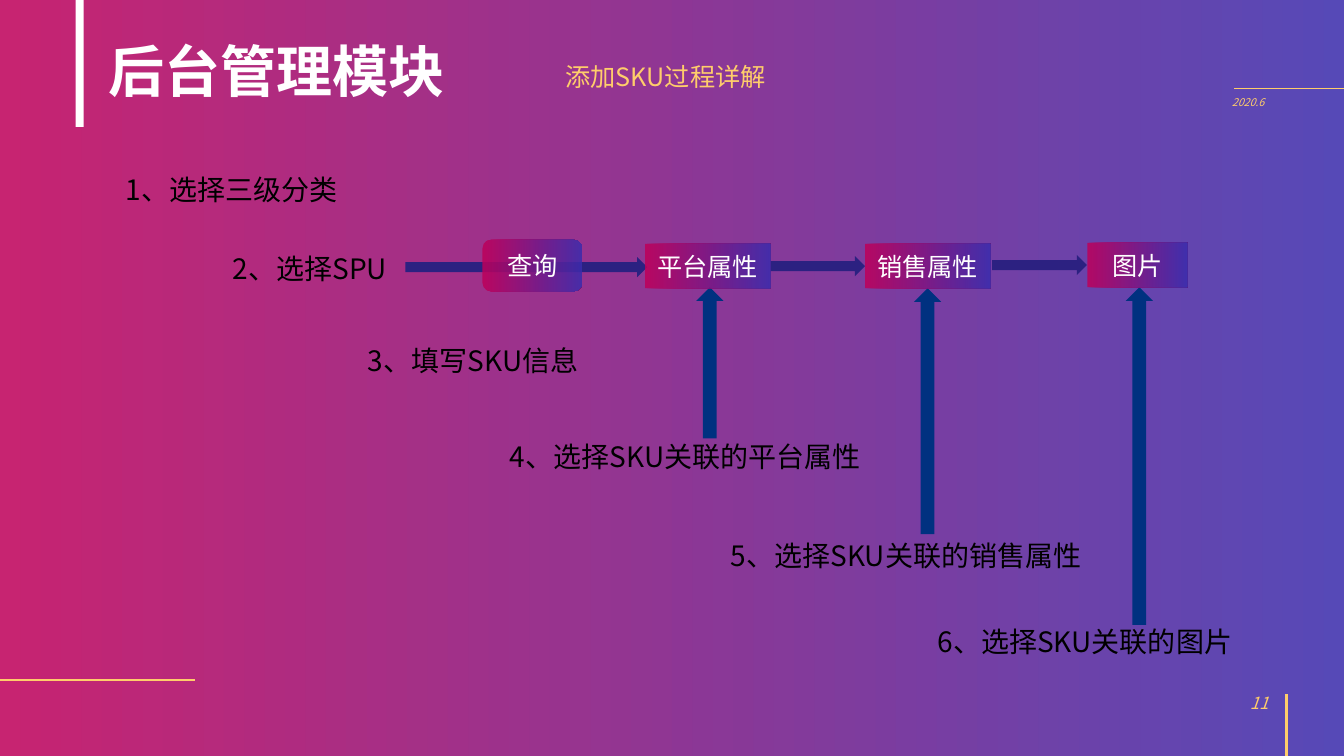
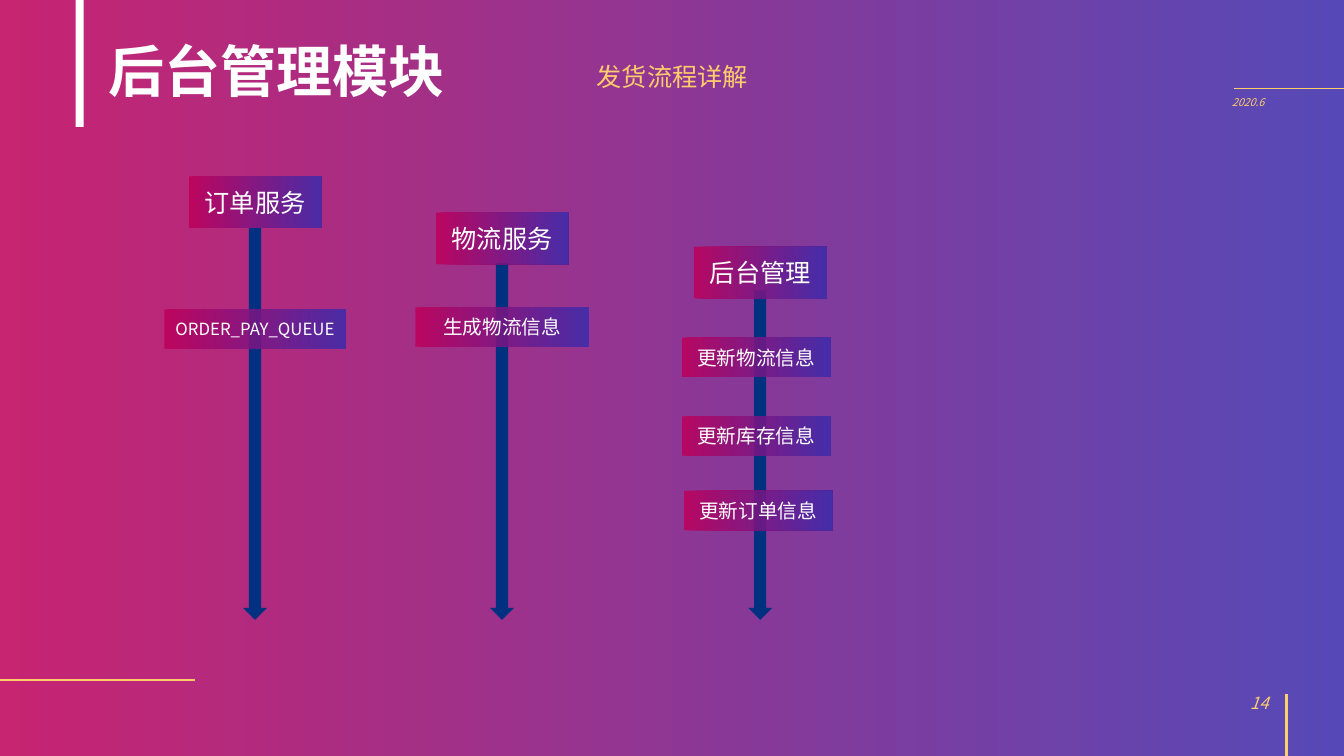
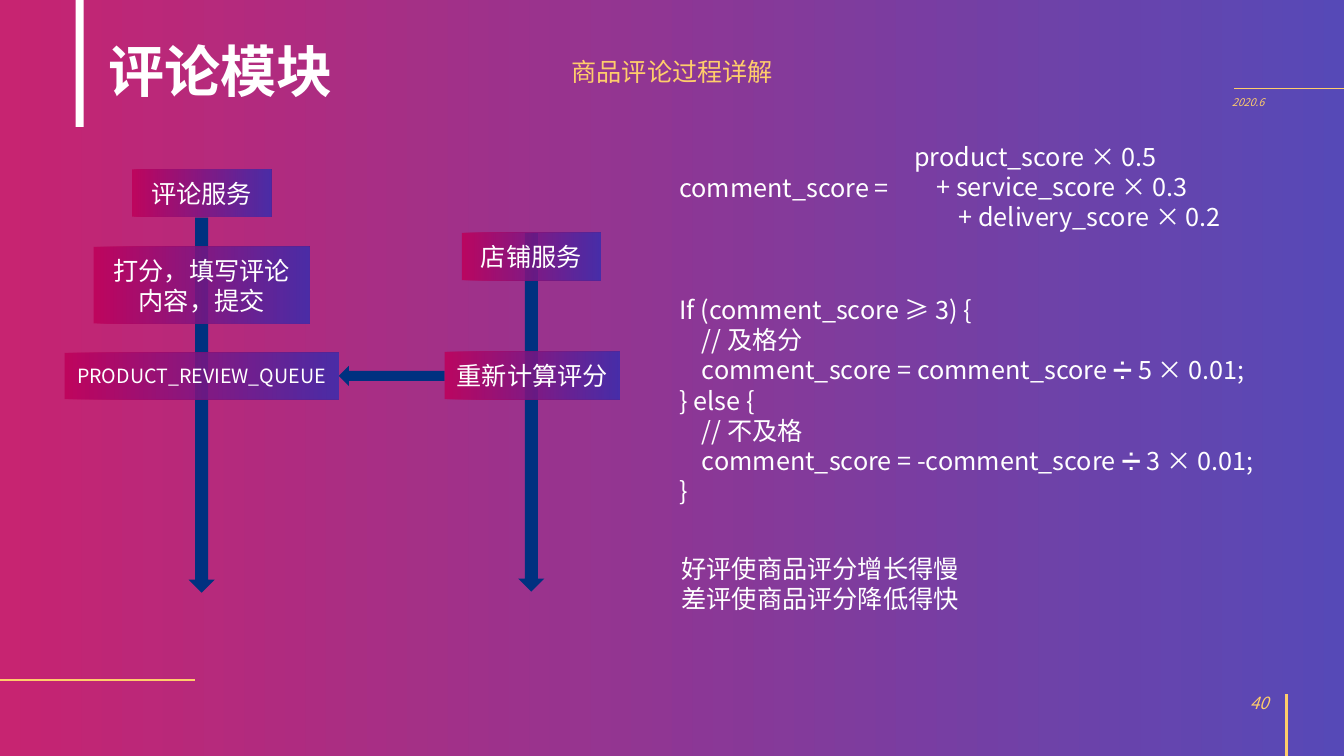
from lxml import etree
from pptx import Presentation
from pptx.dml.color import RGBColor
from pptx.enum.shapes import MSO_CONNECTOR, MSO_SHAPE
from pptx.enum.text import MSO_ANCHOR, PP_ALIGN
from pptx.oxml.ns import qn
from pptx.util import Inches, Pt

WIDE, HIGH = 13.33, 7.5
NOTO, ARIAL = "Noto Sans CJK SC", "Arial"
ROSE = RGBColor(0xBE, 0x00, 0x5A)
INDIGO = RGBColor(0x3B, 0x2C, 0xAC)
GOLD = RGBColor(0xFF, 0xCD, 0x6B)
WHITE = RGBColor(0xFF, 0xFF, 0xFF)
BLACK = RGBColor(0x00, 0x00, 0x00)
NAVY = RGBColor(0x00, 0x31, 0x80)
VIOLET = RGBColor(0x2C, 0x21, 0x81)
RECT, ROUND = MSO_SHAPE.RECTANGLE, MSO_SHAPE.ROUNDED_RECTANGLE
LEFT, RIGHT = MSO_SHAPE.LEFT_ARROW, MSO_SHAPE.RIGHT_ARROW
UP, DOWN = MSO_SHAPE.UP_ARROW, MSO_SHAPE.DOWN_ARROW
STRAIGHT = MSO_CONNECTOR.STRAIGHT
TOP, MIDDLE, BOTTOM = MSO_ANCHOR.TOP, MSO_ANCHOR.MIDDLE, MSO_ANCHOR.BOTTOM
START, CENTER, END = PP_ALIGN.LEFT, PP_ALIGN.CENTER, PP_ALIGN.RIGHT

HEAD = {"size": Pt(40), "bold": True, "name": NOTO}
TOPIC = {"size": Pt(18), "name": NOTO}
STEP = {"size": Pt(20), "name": NOTO}
PAGE = {"size": Pt(12), "italic": True, "name": NOTO}
DATE = {"size": Pt(7.6), "italic": True, "name": NOTO}
CODE = {"size": Pt(18), "name": NOTO}
PROSE = {"size": Pt(18), "name": ARIAL}
SMALL = {"size": Pt(14), "name": ARIAL}
QUEUE = {"size": Pt(14), "name": NOTO}
TINY = {"size": Pt(12), "name": NOTO}

RULES = [
    ((12.24, 0.88), (WIDE, 0.88), 0.75),
    ((0, 6.75), (1.93, 6.75), 1.5),
    ((12.76, HIGH), (12.76, 6.89), 1.5),
]

# Boxes: text, centre x, top, width, height, format
# Arrows: start, end, thickness, colour
SLIDES = [
    {
        "title": "后台管理模块", "page": "11",
        "topic": ("添加SKU过程详解", (5.51, 0.56, 2.3, 0.4)),
        "arrows": [
            ((4.02, 2.65), (6.42, 2.65), 0.2, VIOLET),
            ((7.64, 2.64), (8.58, 2.64), 0.2, VIOLET),
            ((9.84, 2.63), (10.78, 2.63), 0.2, VIOLET),
            ((7.04, 4.35), (7.04, 2.85), 0.27, NAVY),
            ((9.2, 5.3), (9.2, 2.86), 0.27, NAVY),
            ((11.3, 6.2), (11.3, 2.85), 0.27, NAVY),
        ],
        "boxes": [
            ("查询", 5.28, 2.38, 0.99, 0.51, PROSE, ROUND),
            ("平台属性", 7.02, 2.42, 1.24, 0.44, PROSE),
            ("销售属性", 9.2, 2.42, 1.24, 0.44, PROSE),
            ("图片", 11.28, 2.41, 0.99, 0.44, PROSE),
        ],
        "notes": [
            ([[("1、", NOTO), ("选择三级分类", ARIAL)]],
             (1.15, 1.66, 2.42, 0.43), STEP, BLACK, True),
            ([[("2、", NOTO), ("选择", ARIAL), ("SPU", NOTO)]],
             (2.21, 2.45, 1.86, 0.43), STEP, BLACK, False),
            (["3、填写SKU信息"], (3.55, 3.36, 2.48, 0.43), STEP, BLACK, False),
            (["4、选择SKU关联的平台属性"], (4.96, 4.31, 3.73, 0.76), STEP, BLACK, True),
            (["5、选择SKU关联的销售属性"], (7.15, 5.29, 3.73, 0.76), STEP, BLACK, True),
            (["6、选择SKU关联的图片"], (9.2, 6.15, 3.16, 0.76), STEP, BLACK, True),
        ],
    },
    {
        "title": "后台管理模块", "page": "14",
        "topic": ("发货流程详解", (5.82, 0.56, 1.7, 0.4)),
        "arrows": [
            ((2.53, 2.26), (2.53, 6.15), 0.24, NAVY),
            ((4.98, 2.61), (4.98, 6.15), 0.24, NAVY),
            ((7.54, 2.88), (7.54, 6.15), 0.24, NAVY),
        ],
        "boxes": [
            ("订单服务", 2.53, 1.75, 1.31, 0.51, PROSE),
            ("ORDER_PAY_QUEUE", 2.53, 3.07, 1.8, 0.39, TINY),
            ("物流服务", 4.98, 2.11, 1.31, 0.51, PROSE),
            ("生成物流信息", 4.98, 3.05, 1.72, 0.39, SMALL),
            ("后台管理", 7.54, 2.45, 1.31, 0.51, PROSE),
            ("更新物流信息", 7.5, 3.35, 1.47, 0.39, SMALL),
            ("更新库存信息", 7.5, 4.13, 1.47, 0.39, SMALL),
            ("更新订单信息", 7.52, 4.87, 1.47, 0.39, SMALL),
        ],
        "notes": [],
    },
    {
        "title": "评论模块", "page": "40",
        "topic": ("商品评论过程详解", (5.57, 0.51, 2.2, 0.4)),
        "arrows": [
            ((2, 2.16), (2, 5.88), 0.26, NAVY),
            ((5.27, 2.31), (5.27, 5.87), 0.26, NAVY),
            ((4.41, 3.73), (3.36, 3.73), 0.2, NAVY),
        ],
        "boxes": [
            ("评论服务", 2, 1.68, 1.38, 0.47, PROSE),
            ("打分，填写评论内容，提交", 2, 2.45, 2.14, 0.76, PROSE),
            ("PRODUCT_REVIEW_QUEUE", 2, 3.5, 2.72, 0.46, QUEUE),
            ("店铺服务", 5.27, 2.31, 1.38, 0.47, PROSE),
            ("重新计算评分", 5.28, 3.49, 1.74, 0.47, PROSE),
        ],
        "notes": [
            (["comment_score ="], (6.64, 1.66, 2.38, 0.4), CODE, WHITE, True),
            (["product_score × 0.5", "+ service_score × 0.3", "+ delivery_score × 0.2"],
             (8.97, 1.35, 3.62, 1), CODE, WHITE, True, 0.22),
            (["If (comment_score ≥ 3) {",
              "    // 及格分",
              "    comment_score = comment_score ➗ 5 × 0.01;",
              "} else {",
              "    // 不及格",
              "    comment_score = -comment_score ➗ 3 × 0.01;",
              "}"], (6.64, 2.87, 6.26, 2.2), CODE, WHITE, True),
            (["好评使商品评分增长得慢", "差评使商品评分降低得快"],
             (6.66, 5.44, 2.95, 0.7), PROSE, WHITE, False),
        ],
    },
]


def write(frame, paras, style, color, align=START, anchor=TOP, wrap=True, step=0, lead=None):
    frame.word_wrap, frame.vertical_anchor = wrap, anchor
    for row, para in enumerate(paras):
        line = frame.paragraphs[0] if row == 0 else frame.add_paragraph()
        line.alignment = align
        if lead:
            line.line_spacing = lead
        if step and row:
            line._p.get_or_add_pPr().set("marL", str(Inches(step * row)))
        runs = [(para, style["name"])] if isinstance(para, str) else para
        for text, face in runs:
            run = line.add_run()
            run.text = text
            for key, value in {**style, "name": face}.items():
                setattr(run.font, key, value)
            run.font.color.rgb = color
            etree.SubElement(run._r.get_or_add_rPr(), qn("a:ea")).set("typeface", NOTO)


def label(slide, paras, at, style, color, **opts):
    box = slide.shapes.add_textbox(*map(Inches, at))
    write(box.text_frame, paras, style, color, **opts)


def block(slide, kind, at, color=None):
    shape = slide.shapes.add_shape(kind, *map(Inches, at))
    shape.shadow.inherit = False
    shape.line.fill.background()
    if color is not None:
        shape.fill.solid()
        shape.fill.fore_color.rgb = color
        return shape
    shape.fill.gradient()
    shape.fill.gradient_angle = 0
    for stop, tone in zip(shape.fill.gradient_stops, (ROSE, INDIGO)):
        stop.color.rgb = tone
    for tone in shape._element.spPr.iter(qn("a:srgbClr")):
        etree.SubElement(tone, qn("a:alpha")).set("val", "85000")
    return shape


def arrow(slide, start, end, thick, color):
    (x1, y1), (x2, y2) = start, end
    x, y, half = min(x1, x2), min(y1, y2), thick / 2
    if x1 == x2:
        block(slide, DOWN if y2 > y1 else UP, (x - half, y, thick, abs(y2 - y1)), color)
    else:
        block(slide, RIGHT if x2 > x1 else LEFT, (x, y - half, abs(x2 - x1), thick), color)


def node(slide, text, mid, top, wide, high, style, kind=RECT):
    shape = block(slide, kind, (mid - wide / 2, top, wide, high))
    write(shape.text_frame, [text], style, WHITE, align=CENTER, anchor=MIDDLE)


def rule(slide, start, end, width):
    line = slide.shapes.add_connector(STRAIGHT, *map(Inches, start + end))
    line.line.color.rgb = GOLD
    line.line.width = Pt(width)
    etree.SubElement(line._element.spPr, qn("a:effectLst"))


def frame(slide, title, page, topic):
    block(slide, RECT, (0, 0, WIDE, HIGH))
    block(slide, RECT, (0.75, 0, 0.08, 1.26), WHITE)
    for item in RULES:
        rule(slide, *item)
    label(slide, [title], (0.98, 0.33, 3.7, 0.76), HEAD, WHITE, anchor=BOTTOM, lead=0.9)
    label(slide, [page], (9.68, 6.77, 3, 0.4), PAGE, GOLD, align=END, anchor=MIDDLE)
    label(slide, ["2020.6"], (12.12, 0.92, 0.67, 0.36), DATE, GOLD, lead=0.9)
    text, at = topic
    label(slide, [text], at, TOPIC, GOLD, wrap=False)


def main():
    deck = Presentation()
    deck.slide_width, deck.slide_height = Inches(WIDE), Inches(HIGH)
    for data in SLIDES:
        slide = deck.slides.add_slide(deck.slide_layouts[6])
        frame(slide, data["title"], data["page"], data["topic"])
        for paras, at, style, color, wrap, *step in data["notes"]:
            label(slide, paras, at, style, color, wrap=wrap, step=sum(step))
        for item in data["arrows"]:
            arrow(slide, *item)
        for item in data["boxes"]:
            node(slide, *item)
    deck.save("out.pptx")


if __name__ == "__main__":
    main()
